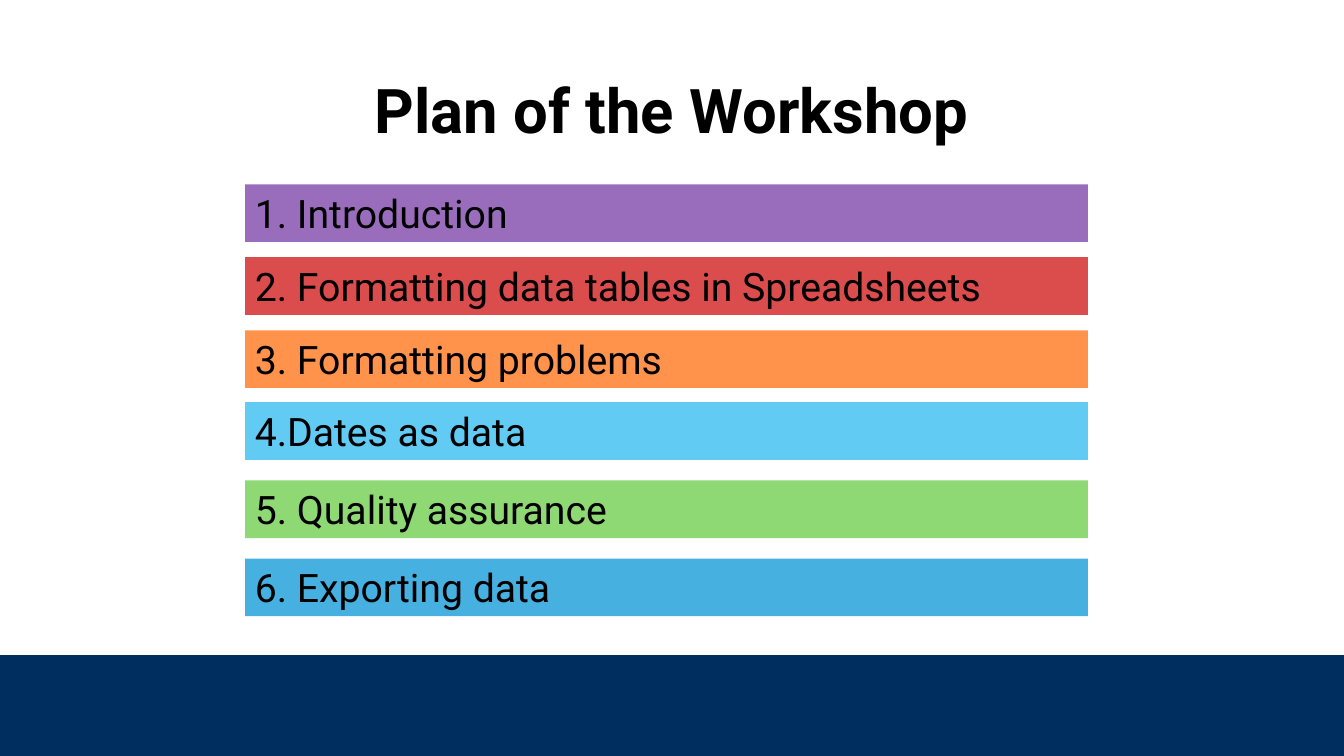
"""Builds the workshop plan slide with its six coloured agenda bars."""
from lxml.etree import SubElement
from pptx import Presentation
from pptx.dml.color import RGBColor
from pptx.enum.shapes import MSO_SHAPE
from pptx.enum.text import MSO_ANCHOR, MSO_AUTO_SIZE, PP_ALIGN
from pptx.oxml.ns import qn
from pptx.util import Pt

BLACK = RGBColor(0x00, 0x00, 0x00)
PURPLE = RGBColor(0x70, 0x30, 0xA0)
RED = RGBColor(0xCC, 0x00, 0x00)
ORANGE = RGBColor(0xFF, 0x66, 0x00)
SKY = RGBColor(0x61, 0xCB, 0xF4)
GREEN = RGBColor(0x8E, 0xD9, 0x73)
BLUE = RGBColor(0x46, 0xB1, 0xE1)
NAVY = RGBColor(0x00, 0x2E, 0x5F)

SLIDE_WIDTH, SLIDE_HEIGHT = 960, 540
FOOTER_HEIGHT = 72
BAR_LEFT, BAR_WIDTH, BAR_HEIGHT = 175, 602, 41.2

AGENDA = [
    ("1. Introduction", 131.6, PURPLE, 70),
    ("2. Formatting data tables in Spreadsheets", 183.7, RED, 70),
    ("3. Formatting problems", 235.9, ORANGE, 70),
    ("4.Dates as data", 287.3, SKY, 100),
    ("5. Quality assurance", 343.2, GREEN, 100),
    ("6. Exporting data", 399, BLUE, 100),
]


class PlanSlide:
    def __init__(self, slide, font="Roboto", color=BLACK):
        self.slide = slide
        self.font = font
        self.color = color

    def style(self, paragraph, size, align, bold=False):
        paragraph.alignment = align
        paragraph.font.name = self.font
        paragraph.font.size = Pt(size)
        paragraph.font.bold = bold
        paragraph.font.color.rgb = self.color

    def title(self, text, left, top, width, height):
        heading = self.slide.shapes.title
        heading.left, heading.top = Pt(left), Pt(top)
        heading.width, heading.height = Pt(width), Pt(height)
        frame = heading.text_frame
        frame.text = text
        frame.vertical_anchor = MSO_ANCHOR.MIDDLE
        frame.paragraphs[0].line_spacing = 0.9
        self.style(frame.paragraphs[0], 44, PP_ALIGN.CENTER, bold=True)

    def band(self, left, top, width, height, color, opacity=100):
        band = self.slide.shapes.add_shape(
            MSO_SHAPE.RECTANGLE, Pt(left), Pt(top), Pt(width), Pt(height))
        band.shadow.inherit = False
        band.line.fill.background()
        band.fill.solid()
        band.fill.fore_color.rgb = color
        if opacity < 100:
            tint = band.fill._xPr.find(qn("a:solidFill"))[0]
            SubElement(tint, qn("a:alpha"), val=str(opacity * 1000))
        return band

    def agenda_bar(self, text, top, color, opacity):
        bar = self.band(BAR_LEFT, top, BAR_WIDTH, BAR_HEIGHT, color, opacity)
        frame = bar.text_frame
        frame.text = text
        frame.word_wrap = True
        frame.auto_size = MSO_AUTO_SIZE.SHAPE_TO_FIT_TEXT
        frame.vertical_anchor = MSO_ANCHOR.TOP
        self.style(frame.paragraphs[0], 28, PP_ALIGN.LEFT)


def main():
    deck = Presentation()
    deck.slide_width, deck.slide_height = Pt(SLIDE_WIDTH), Pt(SLIDE_HEIGHT)
    plan = PlanSlide(deck.slides.add_slide(deck.slide_layouts[5]))
    plan.title("Plan of the Workshop", 66, 28.75, 828, 104.4)
    for item in AGENDA:
        plan.agenda_bar(*item)
    plan.band(0, SLIDE_HEIGHT - FOOTER_HEIGHT, SLIDE_WIDTH, FOOTER_HEIGHT, NAVY)
    deck.save("out.pptx")


if __name__ == "__main__":
    main()
